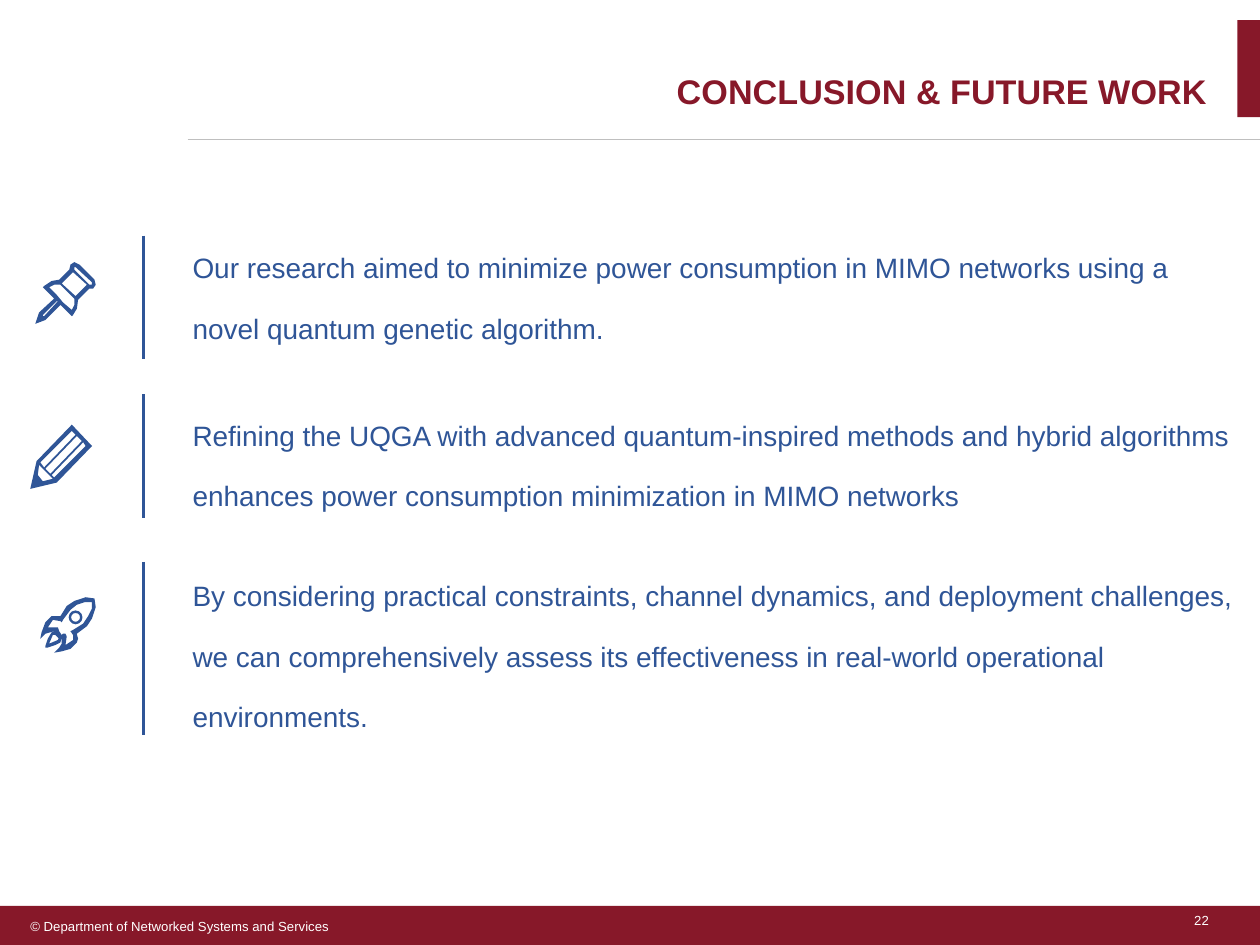
from pptx import Presentation
from pptx import util as u
from pptx.dml.color import RGBColor
from pptx.enum import shapes, text
from pptx.oxml.ns import qn
from lxml import etree

COLORS = {"paper": "FFFFFF", "wine": "871829", "rule": "BFBFBF", "blue": "2F5597"}
CELL = 0.1  # inches: the slide is a grid of 100 columns by 75 rows

# Icon outlines in hundredths of an inch; the first is the rim, the rest are holes
PIN = [
    [(34, 30), (43, 21), (46, 21), (48, 18), (47, 14), (35, 2), (31, 0), (28, 2), (27, 6),
     (19, 14), (13, 15), (7, 19), (6, 20), (15, 29), (3, 40), (0, 49), (8, 46), (20, 34),
     (29, 43), (30, 42), (33, 37)],
    [(32, 4), (45, 16), (45, 18), (43, 18), (31, 6), (31, 4)],
    [(32, 27), (21, 17), (30, 8), (41, 18)],
    [(7, 43), (6, 43), (6, 42), (17, 31), (18, 31)],
    [(22, 32), (17, 26), (11, 20), (15, 18), (20, 18), (31, 29), (31, 34), (29, 38)],
]
PENCIL = [
    [(49, 17), (33, 0), (5, 29), (0, 51), (21, 46)],
    [(19, 42), (17, 40), (42, 14), (44, 17)],
    [(10, 45), (6, 40), (7, 32), (10, 35), (16, 41), (18, 43)],
    [(41, 13), (16, 39), (12, 35), (37, 9)],
    [(33, 5), (36, 8), (11, 34), (8, 30)],
]
ROCKET = [
    [(0, 34), (1, 29), (4, 21), (9, 16), (16, 16), (21, 8), (27, 4), (36, 1), (43, 2),
     (44, 9), (41, 18), (37, 24), (29, 30), (30, 34), (29, 37), (24, 42), (17, 44),
     (11, 45), (15, 41), (17, 38), (17, 34), (16, 35), (15, 34), (11, 30), (10, 29),
     (11, 28), (4, 30)],
    [(29, 7), (24, 11), (18, 19), (17, 21), (16, 20), (10, 19), (6, 25), (14, 25),
     (15, 28), (17, 31), (18, 30), (20, 30), (21, 32), (20, 39), (26, 35), (26, 31),
     (24, 28), (26, 27), (34, 22), (38, 16), (41, 10), (41, 5), (35, 5)],
]
FLAME = [
    [(0, 13), (0, 12), (2, 6), (5, 1), (8, 0), (11, 2), (13, 5), (12, 9), (8, 11), (2, 13)],
    [(10, 3), (6, 3), (3, 10), (10, 7), (11, 5)],
]


def grid(*cells):
    return [u.Inches(round(n * CELL, 4)) for n in cells]


def color(name):
    return RGBColor.from_string(COLORS[name])


class Deck:
    font = "Arial"

    def __init__(self):
        self.prs = Presentation()
        self.prs.slide_width, self.prs.slide_height = grid(100, 75)
        self.slide = self.prs.slides.add_slide(self.prs.slide_layouts[6])
        fill = self.slide.background.fill
        fill.solid()
        fill.fore_color.rgb = color("paper")

    def paint(self, shape, fill):
        shape.shadow.inherit = False
        shape.fill.solid()
        shape.fill.fore_color.rgb = color(fill)
        shape.line.fill.background()
        return shape

    def shape(self, kind, box, fill):
        return self.paint(self.slide.shapes.add_shape(kind, *grid(*box)), fill)

    def line(self, start, end, stroke, width):
        rule = self.slide.shapes.add_connector(
            shapes.MSO_CONNECTOR.STRAIGHT, *grid(*start, *end))
        rule.line.color.rgb = color(stroke)
        rule.line.width = u.Pt(width)
        etree.SubElement(rule._element.spPr, qn("a:effectLst"))

    def icon(self, col, row, outlines, fill):
        (first, *rest), *holes = outlines
        builder = self.slide.shapes.build_freeform(*first, scale=u.Inches(0.01))
        builder.add_line_segments(rest)
        for start, *others in holes:
            builder.move_to(*start)
            builder.add_line_segments(others)
        self.paint(builder.convert_to_shape(*grid(col, row)), fill)

    def label(self, shape, words, size, ink, bold=False, align=text.PP_ALIGN.LEFT, wrap=True):
        frame = shape.text_frame
        frame.word_wrap = wrap
        frame.text = words
        paragraph = frame.paragraphs[0]
        paragraph.alignment = align
        font = paragraph.runs[0].font
        font.name, font.size, font.bold = self.font, u.Pt(size), bold
        font.color.rgb = color(ink)
        return paragraph

    def text(self, box, words, size, ink, **style):
        return self.label(self.slide.shapes.add_textbox(*grid(*box)), words, size, ink, **style)


deck = Deck()

# Header and footer
deck.shape(shapes.MSO_SHAPE.RECTANGLE, (98.2, 1.6, 1.9, 7.7), "wine")
footer = deck.shape(shapes.MSO_SHAPE.RECTANGLE, (0, 71.9, 100.1, 3.2), "wine")
footer.text_frame.margin_left = u.Inches(0.24)
footer.text_frame.vertical_anchor = text.MSO_ANCHOR.MIDDLE
deck.label(footer, "© Department of Networked Systems and Services", 7.5, "paper")
deck.line((14.9, 11.1), (100.1, 11.1), "rule", 0.75)
deck.text((93.8, 71.9, 3.3, 2.3), "22", 7.5, "paper", wrap=False)
deck.text((33.5, 5.1, 63.3, 5.2), "CONCLUSION & FUTURE WORK", 19.5, "wine",
          bold=True, align=text.PP_ALIGN.RIGHT)

# Icons
deck.icon(2.8, 20.8, PIN, "blue")
deck.icon(2.4, 33.7, PENCIL, "blue")
deck.icon(3.2, 47.3, ROCKET, "blue")
porthole = deck.shape(shapes.MSO_SHAPE.DONUT, (5.45, 48.45, 1.1, 1.1), "blue")
porthole.adjustments[0] = 0.18
deck.icon(3.6, 50.1, FLAME, "blue")

# Statements, each beside a vertical bar: bar top, bar bottom, text box, words
statements = [
    (18.7, 28.5, (14.3, 17.3, 84.5, 10),
     "Our research aimed to minimize power consumption in MIMO networks using a novel "
     "quantum genetic algorithm."),
    (31.3, 41.1, (14.3, 30.6, 88, 10),
     "Refining the UQGA with advanced quantum-inspired methods and hybrid algorithms "
     "enhances power consumption minimization in MIMO networks"),
    (44.6, 58.3, (14.3, 43.3, 87.3, 14.8),
     "By considering practical constraints, channel dynamics, and deployment challenges, "
     "we can comprehensively assess its effectiveness in real-world operational environments."),
]
for top, bottom, box, words in statements:
    deck.line((11.4, top), (11.4, bottom), "blue", 1.5)
    statement = deck.text(box, words, 16, "blue")
    statement.line_spacing = 1.8
    statement.space_before, statement.space_after = u.Pt(3.2), u.Pt(6)

deck.prs.save("out.pptx")
